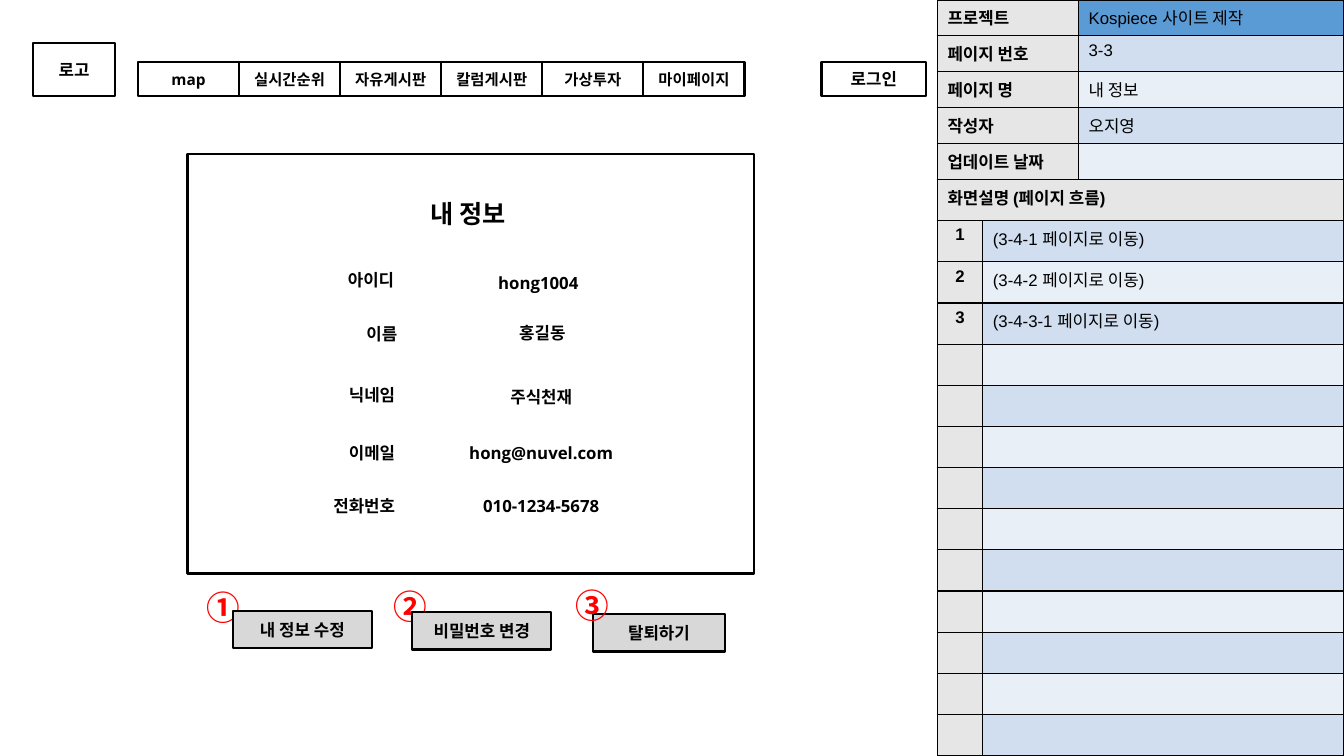
import pptx
import pptx.dml.color
import pptx.enum.shapes
import pptx.enum.text
import pptx.oxml.ns
import pptx.util
from lxml import etree

Pt = pptx.util.Pt
ALIGN = pptx.enum.text.PP_ALIGN
ANCHOR = pptx.enum.text.MSO_ANCHOR
qn = pptx.oxml.ns.qn

HUES = {"ink": "000000", "red": "FF0000", "gray": "D8D8D8", "key": "E7E6E6",
        "head": "5B9BD5", "odd": "D0DEEF", "even": "E9EFF7"}
HANGUL = "Noto Sans CJK KR"
BODY = {"name": "Open Sans", "size": Pt(12), "bold": True}
MENU = BODY | {"size": Pt(11)}
TITLE = BODY | {"size": Pt(18)}
MARK = {"name": HANGUL, "size": Pt(24), "bold": True}
CELL = {"name": "Arial", "size": Pt(12)}

NAV = ["map", "실시간순위", "자유게시판", "칼럼게시판", "가상투자", "마이페이지"]
# label, right edge, top; value, center, top
FIELDS = [
    ("아이디", 288.7, 186.5, "hong1004", 384.5, 188.6),
    ("이름", 290.9, 225.4, "홍길동", 387.4, 224.6),
    ("닉네임", 289.4, 268.6, "주식천재", 386.6, 270),
    ("이메일", 289.4, 310.3, "hong@nuvel.com", 386.6, 310.3),
    ("전화번호", 289.4, 347.8, "010-1234-5678", 386.6, 347.8),
]
BUTTONS = [("내 정보 수정", 166.3, 436.3, 99.4), ("비밀번호 변경", 294.5, 437.4, 99.4),
           ("탈퇴하기", 423.4, 438.8, 94.6)]
MARKS = [("①", 140.4, 415.4), ("②", 274.3, 414.7), ("③", 403.9, 414)]
INFO = [("프로젝트", "Kospiece 사이트 제작"), ("페이지 번호", "3-3"),
        ("페이지 명", "내 정보"), ("작성자", "오지영"), ("업데이트 날짜", "")]
FLOW = ["3-4-1", "3-4-2", "3-4-3-1"]
FLOW_ROWS = 13


def rgb(hue):
    return pptx.dml.color.RGBColor.from_string(HUES[hue])


def write(frame, text, fmt, hue="ink", align=ALIGN.LEFT):
    para = frame.paragraphs[0]
    para.alignment = align
    if not text:
        size = str(int(fmt["size"].pt * 100))
        etree.SubElement(para._p, qn("a:endParaRPr"), sz=size)
        return
    run = para.add_run()
    run.text = text
    for name, value in fmt.items():
        setattr(run.font, name, value)
    run.font.color.rgb = rgb(hue)
    latin = run.font._element.find(qn("a:latin"))
    latin.addnext(latin.makeelement(qn("a:ea"), {"typeface": HANGUL}))


def pad(frame, gap=7.2):
    """Fix the frame's margins and size, and center its text vertically."""
    form = {"margin_left": Pt(7.2), "margin_right": Pt(7.2),
            "margin_top": Pt(gap), "margin_bottom": Pt(gap), "word_wrap": True,
            "auto_size": pptx.enum.text.MSO_AUTO_SIZE.NONE,
            "vertical_anchor": ANCHOR.MIDDLE}
    for name, value in form.items():
        setattr(frame, name, value)


def add_label(slide, text, box, align):
    frame = slide.shapes.add_textbox(*map(Pt, box)).text_frame
    pad(frame)
    write(frame, text, BODY, align=align)


def add_mark(slide, text, left, top):
    frame = slide.shapes.add_textbox(Pt(left), Pt(top), Pt(43.2), Pt(36)).text_frame
    pad(frame, 3.6)
    frame.vertical_anchor = ANCHOR.TOP
    write(frame, text, MARK, "red")


def add_box(slide, box, text="", fmt=BODY, fill=None):
    rect = pptx.enum.shapes.MSO_SHAPE.RECTANGLE
    shape = slide.shapes.add_shape(rect, *map(Pt, box))
    shape.shadow.inherit = False
    shape.line.color.rgb = rgb("ink")
    shape.line.width = Pt(1.5)
    if fill:
        shape.fill.solid()
        shape.fill.fore_color.rgb = rgb(fill)
    else:
        shape.fill.background()
    if text:
        pad(shape.text_frame)
        write(shape.text_frame, text, fmt, align=ALIGN.CENTER)


def edge(cell):
    """Draw thin black borders, which must come before the fill."""
    props = cell._tc.get_or_add_tcPr()
    for spot, side in enumerate(("lnL", "lnR", "lnT", "lnB")):
        line = props.makeelement(qn("a:" + side), {"w": str(Pt(1))})
        props.insert(spot, line)
        paint = etree.SubElement(line, qn("a:solidFill"))
        etree.SubElement(paint, qn("a:srgbClr"), val=HUES["ink"])


def add_table(slide, rows, box, split, align=ALIGN.LEFT):
    """Add key and note rows; split is the width of the key column."""
    table = slide.shapes.add_table(len(rows), 2, *map(Pt, box)).table
    table.columns[0].width = Pt(split)
    table.columns[1].width = Pt(box[2] - split)
    for i, (key, note) in enumerate(rows):
        table.rows[i].height = Pt(box[3] / len(rows))
        band = "odd" if i % 2 else "even" if i else "head"
        sides = ((key, "key", True, align if i else ALIGN.LEFT),
                 (note, band, False, ALIGN.LEFT))
        for j, (text, fill, bold, side) in enumerate(sides):
            cell = table.cell(i, j)
            cell.fill.solid()
            cell.fill.fore_color.rgb = rgb(fill)
            edge(cell)
            write(cell.text_frame, text, CELL | {"bold": bold}, align=side)
    return table


def add_title(slide, text, box):
    title = slide.shapes.title
    title.left, title.top, title.width, title.height = map(Pt, box)
    pad(title.text_frame)
    write(title.text_frame, text, TITLE, align=ALIGN.CENTER)


def main():
    deck = pptx.Presentation()
    deck.slide_width, deck.slide_height = Pt(960), Pt(540)
    slide = deck.slides.add_slide(deck.slide_layouts[5])

    add_title(slide, "내 정보", (269.3, 139, 130.3, 26.6))
    add_box(slide, (133.9, 110.2, 404.6, 299.5))
    for label, right, top, value, mid, drop in FIELDS:
        add_label(slide, label, (right - 75, top, 75, 26.6), ALIGN.RIGHT)
        add_label(slide, value, (mid - 91.4, drop, 182.8, 26.6), ALIGN.CENTER)

    for mark in MARKS[:2]:
        add_mark(slide, *mark)
    for text, left, top, width in BUTTONS:
        add_box(slide, (left, top, width, 26.6), text, fill="gray")
    add_mark(slide, *MARKS[2])

    add_box(slide, (23.8, 31, 58.3, 37.4), "로고")
    add_box(slide, (586.8, 44.6, 74.9, 23.8), "로그인")
    for i, text in enumerate(NAV):
        add_box(slide, (98.6 + 72.2 * i, 44.6, 72.2, 23.8), text, MENU)

    add_table(slide, INFO, (669.6, 0, 290.4, 128.2), 100.8)
    flow = [("화면설명 (페이지 흐름)", "")]
    flow += [(str(i), f"({page} 페이지로 이동)") for i, page in enumerate(FLOW, 1)]
    flow += [("", "")] * (FLOW_ROWS - len(FLOW))
    table = add_table(slide, flow, (669.6, 128.2, 290.4, 411.8), 32.4, ALIGN.CENTER)
    table.cell(0, 0).merge(table.cell(0, 1))
    deck.save("out.pptx")


if __name__ == "__main__":
    main()
